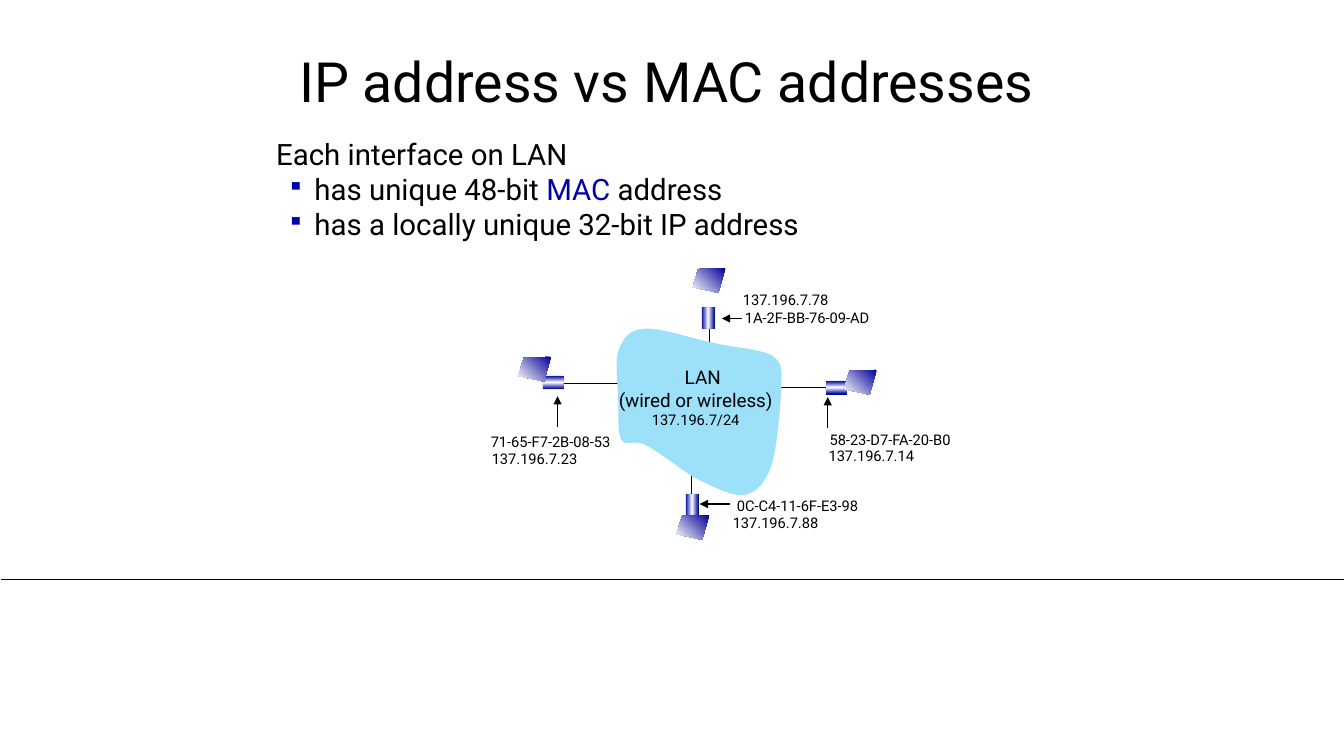
from lxml.etree import SubElement
from pptx import Presentation
from pptx.dml.color import RGBColor
from pptx.enum.shapes import MSO_CONNECTOR, MSO_SHAPE
from pptx.enum.text import MSO_ANCHOR, MSO_AUTO_SIZE, PP_ALIGN
from pptx.oxml import parse_xml
from pptx.oxml.ns import nsdecls, qn
from pptx.util import Inches, Pt

THEME = {
    "font": "Roboto", "ink": "000000", "blue": "0000A8", "navy": "000099",
    "white": "FFFFFF", "sky": "9CE0FA", "edge": "008000",
    "title": 39.6, "body": 21, "cloud": 13.5, "label": 10.5,
    "wire": 0.75, "rule": 0.5,
}
CELL = Inches(0.01)
COLS, ROWS = 1333, 750


def write(area, paras, size, align=PP_ALIGN.LEFT, wrap=True):
    box = slide.shapes.add_textbox(*[n * CELL for n in area])
    frame = box.text_frame
    frame.word_wrap = wrap
    frame.auto_size = MSO_AUTO_SIZE.SHAPE_TO_FIT_TEXT
    for i, runs in enumerate(paras):
        para = frame.paragraphs[0] if i == 0 else frame.add_paragraph()
        para.alignment = align
        for words, tone, scale in runs:
            run = para.add_run()
            run.text = words
            run.font.name = THEME["font"]
            run.font.size = Pt(size * scale)
            run.font.color.rgb = RGBColor.from_string(THEME[tone])
    return frame


def shade(shape, stops, angle):
    marks = "".join(
        f'<a:gs pos="{spot * 1000}"><a:srgbClr val="{THEME[tone]}"/></a:gs>'
        for spot, tone in stops)
    shape.fill.gradient()
    old = shape._element.spPr.find(qn("a:gradFill"))
    new = parse_xml(
        f'<a:gradFill {nsdecls("a")} rotWithShape="1"><a:gsLst>{marks}</a:gsLst>'
        f'<a:lin ang="{angle * 60000}" scaled="0"/></a:gradFill>')
    old.getparent().replace(old, new)


deck = Presentation()
deck.slide_width = COLS * CELL
deck.slide_height = ROWS * CELL
slide = deck.slides.add_slide(deck.slide_layouts[6])

links = [
    ((1, 575, COLS, 575), "rule", False),
    ((558, 380, 632, 380), "wire", False),
    ((704, 305, 704, 359), "wire", False),
    ((686, 501, 686, 465), "wire", False),
    ((841, 384, 775, 384), "wire", False),
    ((821, 425, 821, 394), "wire", True),
    ((724, 500, 694, 500), "wire", True),
    ((553, 424, 553, 393), "wire", True),
    ((736, 316, 716, 316), "wire", True),
]
for ends, weight, arrow in links:
    link = slide.shapes.add_connector(
        MSO_CONNECTOR.STRAIGHT, *[n * CELL for n in ends])
    link.line.color.rgb = RGBColor.from_string(THEME["ink"])
    link.line.width = Pt(THEME[weight])
    SubElement(link._element.spPr, qn("a:effectLst"))
    if arrow:
        SubElement(link.line._get_or_add_ln(), qn("a:tailEnd"), type="triangle")

cards = [(696, 305, 0), (542, 369, 90), (680, 490, 0), (823, 374, 90)]
for col, row, turn in cards:
    card = slide.shapes.add_shape(
        MSO_SHAPE.RECTANGLE, col * CELL, row * CELL, 13 * CELL, 21 * CELL)
    card.shadow.inherit = False
    card.rotation = turn
    shade(card, [(0, "blue"), (50, "white"), (99, "blue")], 0)
    card.line.color.rgb = RGBColor.from_string(THEME["edge"])
    card.line.width = Pt(THEME["wire"])
    tone = card.line._get_or_add_ln().find(".//" + qn("a:srgbClr"))
    SubElement(tone, qn("a:alpha"), val="15000")

curves = [
    ((625, 327), (619, 334), (614, 346)), ((609, 357), (613, 380), (613, 395)),
    ((614, 410), (612, 428), (616, 436)), ((621, 444), (628, 435), (641, 442)),
    ((654, 448), (677, 468), (693, 476)), ((710, 484), (727, 493), (739, 491)),
    ((751, 488), (759, 479), (765, 462)), ((771, 444), (774, 403), (775, 384)),
    ((775, 366), (777, 361), (766, 353)), ((755, 346), (727, 345), (707, 340)),
    ((686, 336), (656, 325), (640, 326)),
]
cloud = [curves[-1][-1]] + [curve[-1] for curve in curves]
screen = [(32.5, 0), (5.5, 1), (0, 19), (25.5, 24.5)]
spots = [(687, 266), (514, 354), (837, 367), (671, 511)]
shapes = [cloud] + [[(col + x, row + y) for x, y in screen] for col, row in spots]
for dots in shapes:
    dots = [(x * CELL, y * CELL) for x, y in dots]
    pen = slide.shapes.build_freeform(*dots[0])
    pen.add_line_segments(dots[1:], close=len(dots) == len(screen))
    form = pen.convert_to_shape()
    form.shadow.inherit = False
    form.line.fill.background()
    if len(dots) == len(screen):
        shade(form, [(0, "navy"), (100, "white")], 135)
        continue
    form.fill.solid()
    form.fill.fore_color.rgb = RGBColor.from_string(THEME["sky"])
    trace = form._element.spPr.find(".//" + qn("a:path"))
    for side, curve in zip(trace.findall(qn("a:lnTo")), curves):
        trace.remove(side)
        bend = SubElement(trace, qn("a:cubicBezTo"))
        for x, y in curve:
            SubElement(bend, qn("a:pt"), x=str(x * CELL - form.left),
                       y=str(y * CELL - form.top))
    SubElement(trace, qn("a:close"))

head = write((230, 47, 862, 73), [[("IP address vs MAC addresses", "ink", 1)]],
             THEME["title"], PP_ALIGN.CENTER)
head.auto_size = MSO_AUTO_SIZE.NONE
head.vertical_anchor = MSO_ANCHOR.MIDDLE
head.paragraphs[0].line_spacing = 0.9

body = write((264, 130, 842, 116), [
    [("Each interface on LAN", "ink", 1)],
    [("has unique 48-bit ", "ink", 1), ("MAC", "blue", 1), (" address", "ink", 1)],
    [("has a locally unique 32-bit IP address", "ink", 1)],
], THEME["body"])
for para in body.paragraphs[1:]:
    props = para._p.get_or_add_pPr()
    props.set("marL", str(38 * CELL))
    props.set("indent", str(-27 * CELL))
    tint = SubElement(props, qn("a:buClr"))
    SubElement(tint, qn("a:srgbClr"), val=THEME["blue"])
    SubElement(props, qn("a:buSzPct"), val="80000")
    SubElement(props, qn("a:buChar"), char="▪")

core = write((601, 358, 178, 73), [
    [("LAN", "ink", 1)],
    [("(wired or wireless)", "ink", 1)],
    [("137.196.7/24", "ink", THEME["label"] / THEME["cloud"])],
], THEME["cloud"], PP_ALIGN.CENTER)
core.paragraphs[0]._p.get_or_add_pPr().set("marL", str(14 * CELL))

labels = [
    (729, 301, 153, "1A-2F-BB-76-09-AD"), (727, 284, 106, "137.196.7.78"),
    (813, 422, 150, "58-23-D7-FA-20-B0"), (812, 438, 106, "137.196.7.14"),
    (721, 488, 151, "0C-C4-11-6F-E3-98"), (717, 505, 106, "137.196.7.88"),
    (477, 424, 146, "71-65-F7-2B-08-53"), (478, 441, 106, "137.196.7.23"),
]
for col, row, wide, words in labels:
    write((col, row, wide, 28), [[(words, "ink", 1)]], THEME["label"], wrap=False)

deck.save("out.pptx")
